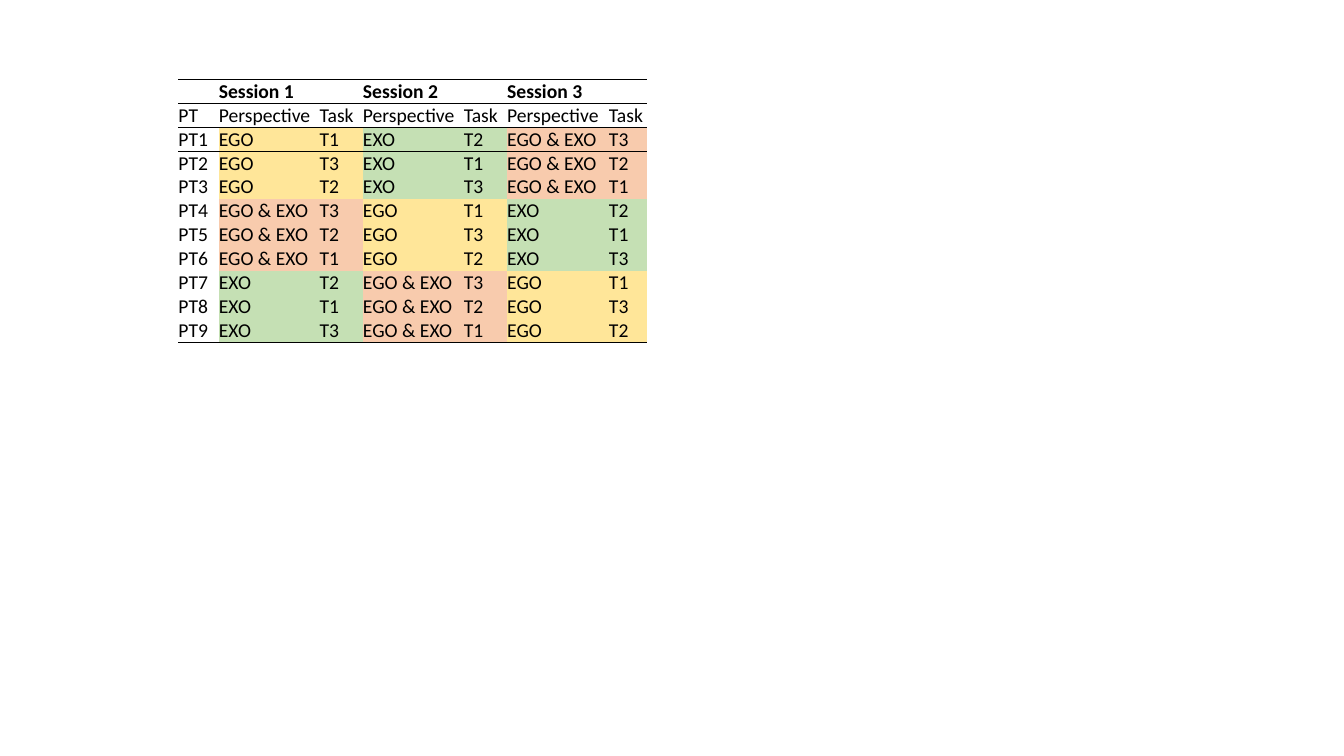
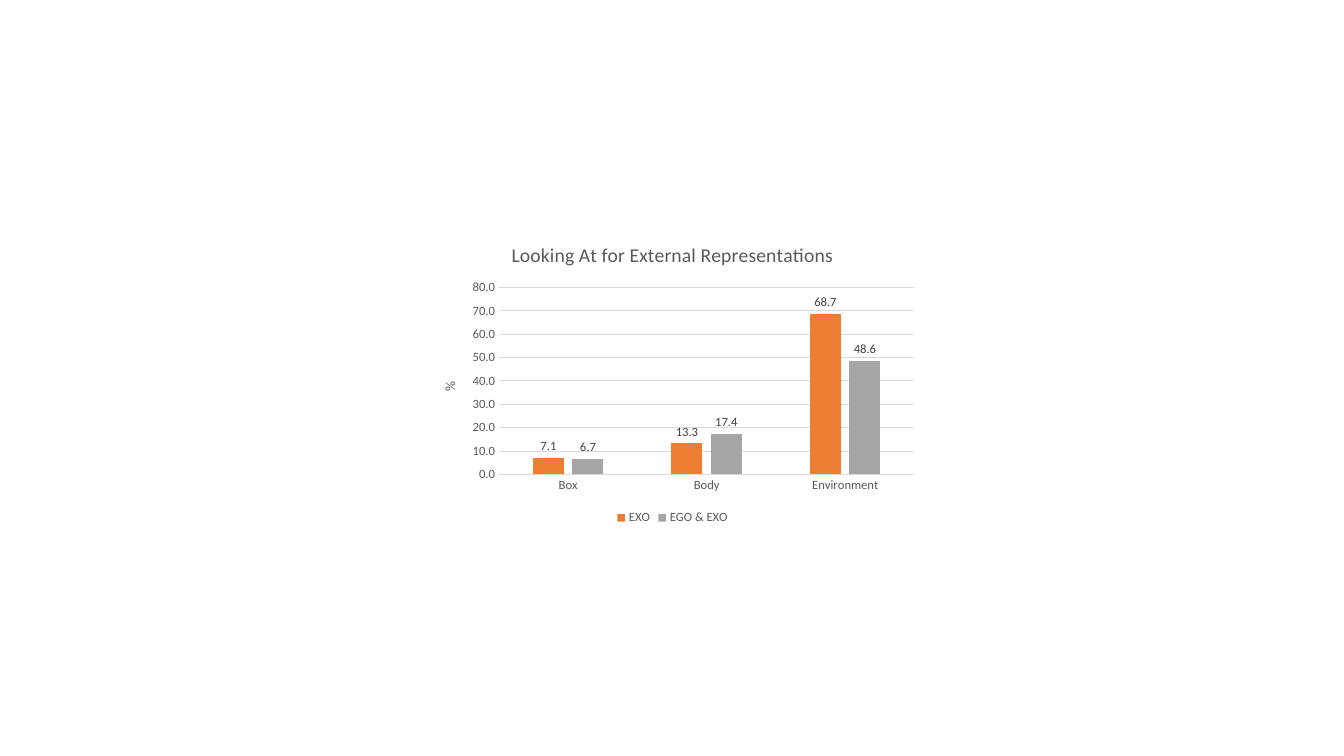
from dataclasses import dataclass

from lxml.etree import SubElement
from pptx import Presentation
from pptx.chart.data import CategoryChartData
from pptx.dml.color import RGBColor
from pptx.enum.chart import XL_CHART_TYPE as ChartType
from pptx.enum.chart import XL_LABEL_POSITION as LabelPosition
from pptx.enum.chart import XL_LEGEND_POSITION as LegendPosition
from pptx.enum.chart import XL_TICK_MARK as TickMark
from pptx.enum.text import MSO_ANCHOR as Anchor
from pptx.oxml import parse_xml
from pptx.oxml.ns import nsdecls, qn
from pptx.slide import Slide
from pptx.table import _Cell as Cell
from pptx.text.text import Font
from pptx.util import Inches, Pt


@dataclass(frozen=True)
class Theme:
    font: str = "Calibri"
    black: str = "000000"
    chart_text: str = "595959"
    label_text: str = "404040"
    grid: str = "D9D9D9"
    heading_size: int = 14
    axis_title_size: int = 10
    small_size: int = 9
    table_line: float = 1
    chart_line: float = 0.75


@dataclass(frozen=True)
class Perspective:
    """A viewing condition and the task that each member of a group gets in it."""
    name: str
    color: str
    tasks: tuple[str, str, str]


@dataclass(frozen=True)
class Series:
    name: str
    color: str
    values: tuple[float, ...]


@dataclass(frozen=True)
class CellStyle:
    bold: bool = False
    fill: str | None = None
    top: bool = False
    bottom: bool = False


THEME = Theme()
BLANK_LAYOUT = 6
NO_TABLE_STYLE = "{2D5ABB26-0587-4C30-8999-92F81FD0307C}"

EGO = Perspective("EGO", "FFE699", ("T1", "T3", "T2"))
EXO = Perspective("EXO", "C5E0B4", ("T2", "T1", "T3"))
BOTH = Perspective("EGO & EXO", "F8CBAD", ("T3", "T2", "T1"))
GROUP_ORDERS = ((EGO, EXO, BOTH), (BOTH, EGO, EXO), (EXO, BOTH, EGO))
GROUP_SIZE = 3
SESSIONS = 3

COLUMN_WIDTHS = (0.4, 1, 0.43, 1, 0.43, 1.01, 0.38)
ROW_HEIGHT = 0.21

CATEGORIES = ("Box", "Body", "Environment")
SERIES = (
    Series("EXO", "ED7D31", (7.1, 13.3, 68.7)),
    Series("EGO & EXO", "A5A5A5", (6.7, 17.4, 48.6)),
)


def rgb(color: str) -> RGBColor:
    return RGBColor.from_string(color)


def style_font(font: Font, size: float, color: str, bold: bool = False) -> None:
    font.name = THEME.font
    font.size = Pt(size)
    font.bold = bold
    font.color.rgb = rgb(color)


def add_cell_border(cell: Cell, side: str, position: int) -> None:
    border = parse_xml(
        f'<a:{side} {nsdecls("a")} w="{Pt(THEME.table_line)}"><a:solidFill>'
        f'<a:srgbClr val="{THEME.black}"/></a:solidFill></a:{side}>'
    )
    cell._tc.get_or_add_tcPr().insert(position, border)


def write_cell(cell: Cell, text: str, style: CellStyle) -> None:
    cell.margin_left = cell.margin_right = cell.margin_top = cell.margin_bottom = 0
    cell.vertical_anchor = Anchor.BOTTOM
    if style.fill:
        cell.fill.solid()
        cell.fill.fore_color.rgb = rgb(style.fill)
    else:
        cell.fill.background()
    borders = [side for side, shown in (("lnT", style.top), ("lnB", style.bottom)) if shown]
    for position, side in enumerate(borders):
        add_cell_border(cell, side, position)

    paragraph = cell.text_frame.paragraphs[0]
    paragraph.text = text
    for run in paragraph.runs:
        style_font(run.font, THEME.heading_size, THEME.black, style.bold)
    if not text:
        # An empty cell needs its own text size, or it makes the row taller.
        SubElement(paragraph._p, qn("a:endParaRPr"), sz=str(THEME.heading_size * 100))


def schedule_rows() -> list[list[tuple[str, CellStyle]]]:
    """Return the text and style of every cell, row by row."""
    heading = CellStyle(bold=True, top=True, bottom=True)
    labels = CellStyle(bottom=True)
    session_row = [("", heading)]
    label_row = [("PT", labels)]
    for session in range(1, SESSIONS + 1):
        session_row += [(f"Session {session}", heading), ("", heading)]
        label_row += [("Perspective", labels), ("Task", labels)]

    rows = [session_row, label_row]
    participants = len(GROUP_ORDERS) * GROUP_SIZE
    for index in range(participants):
        group, member = divmod(index, GROUP_SIZE)
        top = index == 0
        bottom = index in (0, participants - 1)
        row = [(f"PT{index + 1}", CellStyle(top=top, bottom=bottom))]
        for perspective in GROUP_ORDERS[group]:
            style = CellStyle(fill=perspective.color, top=top, bottom=bottom)
            row += [(perspective.name, style), (perspective.tasks[member], style)]
        rows.append(row)
    return rows


def add_schedule(slide: Slide) -> None:
    rows = schedule_rows()
    shape = slide.shapes.add_table(
        len(rows), len(COLUMN_WIDTHS),
        Inches(1.77), Inches(0.79), Inches(4.64), Inches(2.57),
    )
    table = shape.table
    table.first_row = table.horz_banding = False
    for style_id in shape.element.iter(qn("a:tableStyleId")):
        style_id.text = NO_TABLE_STYLE
    for column, width in zip(table.columns, COLUMN_WIDTHS):
        column.width = Inches(width)
    for table_row, contents in zip(table.rows, rows):
        table_row.height = Inches(ROW_HEIGHT)
        for cell, (text, style) in zip(table_row.cells, contents):
            write_cell(cell, text, style)
    shape.height = Inches(2.57)


def add_gaze_chart(slide: Slide) -> None:
    data = CategoryChartData(number_format="0.0")
    data.categories = CATEGORIES
    for series in SERIES:
        data.add_series(series.name, series.values)
    chart = slide.shapes.add_chart(
        ChartType.COLUMN_CLUSTERED,
        Inches(4.17), Inches(2.25), Inches(5), Inches(3), data,
    ).chart
    style_font(chart.font, THEME.axis_title_size, THEME.black)

    chart.has_title = True
    chart.chart_title.include_in_layout = False
    value_axis = chart.value_axis
    value_axis.has_title = True
    titles = (
        (chart.chart_title, "Looking At for External Representations", THEME.heading_size),
        (value_axis.axis_title, "%", THEME.axis_title_size),
    )
    for title, text, size in titles:
        paragraph = title.text_frame.paragraphs[0]
        paragraph.text = text
        style_font(paragraph.runs[0].font, size, THEME.chart_text)
    for body in value_axis.axis_title.element.iter(qn("a:bodyPr")):
        body.set("rot", "-5400000")
        body.set("vert", "horz")

    for axis in (chart.category_axis, value_axis):
        axis.major_tick_mark = axis.minor_tick_mark = TickMark.NONE
        style_font(axis.tick_labels.font, THEME.small_size, THEME.chart_text)
    value_axis.minimum_scale, value_axis.maximum_scale, value_axis.major_unit = 0, 80, 10
    value_axis.tick_labels.number_format = "0.0"
    value_axis.tick_labels.number_format_is_linked = False
    value_axis.format.line.fill.background()
    for line in (chart.category_axis.format.line, value_axis.major_gridlines.format.line):
        line.color.rgb = rgb(THEME.grid)
        line.width = Pt(THEME.chart_line)

    chart.has_legend = True
    chart.legend.position = LegendPosition.BOTTOM
    chart.legend.include_in_layout = False
    style_font(chart.legend.font, THEME.small_size, THEME.chart_text)

    plot = chart.plots[0]
    plot.gap_width = 219
    plot.overlap = -27
    plot.vary_by_categories = False
    for columns, series in zip(plot.series, SERIES):
        columns.format.fill.solid()
        columns.format.fill.fore_color.rgb = rgb(series.color)
        labels = columns.data_labels
        labels.show_value = True
        labels.position = LabelPosition.OUTSIDE_END
        labels.number_format = "0.0"
        labels.number_format_is_linked = False
        style_font(labels.font, THEME.small_size, THEME.label_text)


def main() -> None:
    presentation = Presentation()
    presentation.slide_width = Inches(13.33)
    presentation.slide_height = Inches(7.5)
    for add_content in (add_schedule, add_gaze_chart):
        add_content(presentation.slides.add_slide(presentation.slide_layouts[BLANK_LAYOUT]))
    presentation.save("out.pptx")


if __name__ == "__main__":
    main()
